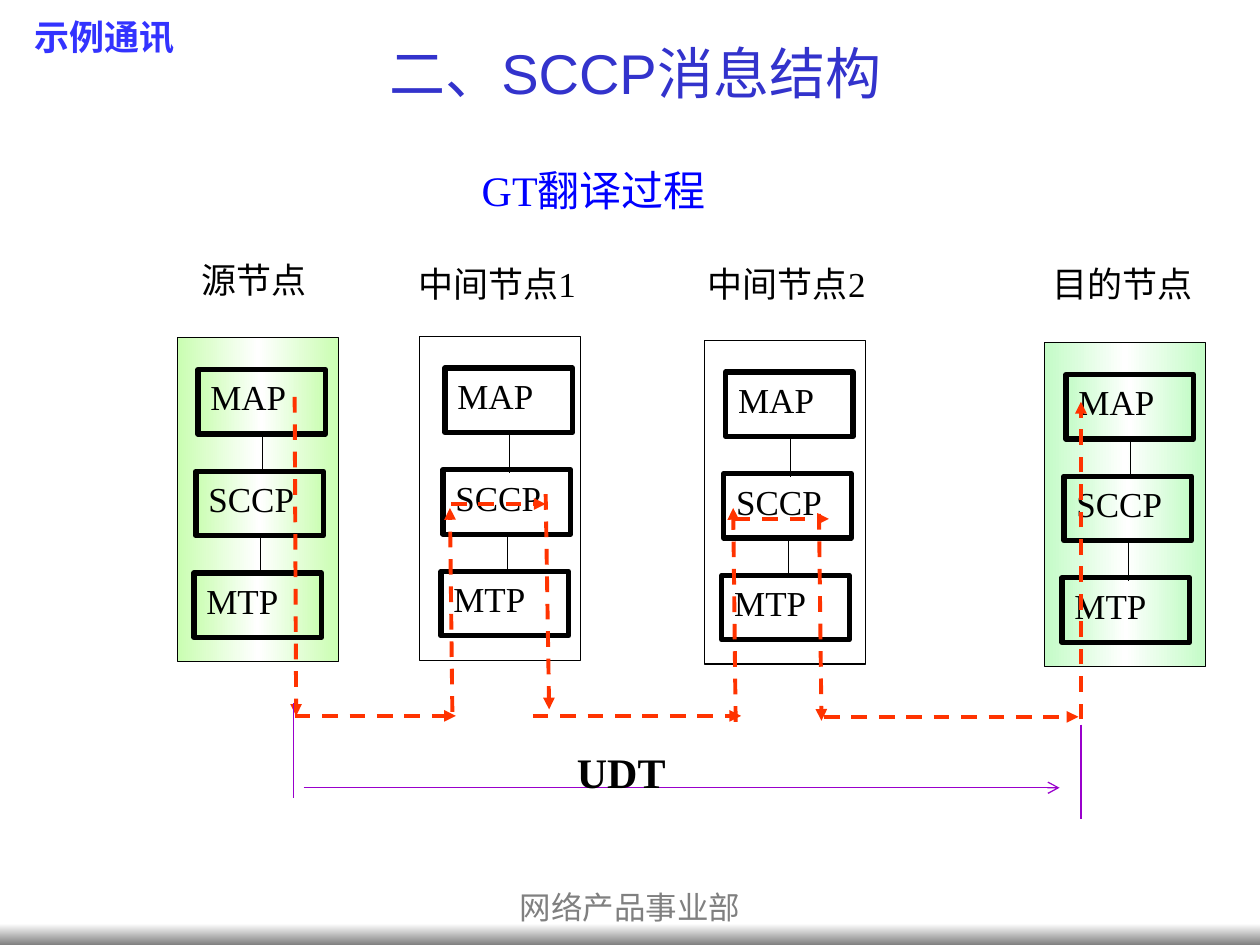
from copy import deepcopy

from lxml import etree
from pptx import Presentation
from pptx.dml.color import RGBColor
from pptx.enum.dml import MSO_LINE
from pptx.enum.shapes import MSO_CONNECTOR, MSO_SHAPE
from pptx.enum.text import MSO_ANCHOR, MSO_AUTO_SIZE, PP_ALIGN
from pptx.oxml.ns import qn
from pptx.util import Cm, Pt

RECTANGLE = MSO_SHAPE.RECTANGLE
STRAIGHT = MSO_CONNECTOR.STRAIGHT
DASH = MSO_LINE.DASH
TOP, MIDDLE = MSO_ANCHOR.TOP, MSO_ANCHOR.MIDDLE
NO_AUTOFIT = MSO_AUTO_SIZE.NONE
LEFT, CENTER, JUSTIFY = PP_ALIGN.LEFT, PP_ALIGN.CENTER, PP_ALIGN.JUSTIFY

BLACK = RGBColor(0x00, 0x00, 0x00)
WHITE = RGBColor(0xFF, 0xFF, 0xFF)
GRAY = RGBColor(0x80, 0x80, 0x80)
BLUE = RGBColor(0x00, 0x00, 0xFF)
INDIGO = RGBColor(0x33, 0x33, 0xCC)
BRIGHT_BLUE = RGBColor(0x33, 0x33, 0xFF)
RED = RGBColor(0xFF, 0x33, 0x00)
PURPLE = RGBColor(0x99, 0x00, 0xCC)
LIME = RGBColor(0xCA, 0xFE, 0xB2)
MINT = RGBColor(0xC4, 0xFC, 0xC7)


def write(shape, text, size, color, align, wrap=True, anchor=TOP, **font_format):
    frame = shape.text_frame
    frame_format = {
        "auto_size": NO_AUTOFIT, "word_wrap": wrap, "vertical_anchor": anchor,
        "margin_left": Cm(0.25), "margin_right": Cm(0.25),
        "margin_top": Cm(0.13), "margin_bottom": Cm(0.13),
    }
    for name, value in frame_format.items():
        setattr(frame, name, value)
    para = frame.paragraphs[0]
    para.alignment = align
    span = para.add_run()
    span.text = text
    span.font.color.rgb = color
    values = {"name": "Times New Roman", "size": Pt(size), "bold": False, **font_format}
    for name, value in values.items():
        setattr(span.font, name, value)
    return frame


def draw_line(points, color, width, dash=None, arrow=None):
    line = page.shapes.add_connector(STRAIGHT, *[Cm(value) for value in points])
    line.line.color.rgb = color
    line.line.width = Pt(width)
    if dash:
        line.line.dash_style = dash
    properties = line._element.spPr
    if arrow:
        etree.SubElement(properties.find(qn("a:ln")), qn("a:tailEnd"), type=arrow)
    etree.SubElement(properties, qn("a:effectLst"))


deck = Presentation()
deck.slide_width, deck.slide_height = Cm(25.4), Cm(19.05)
page = deck.slides.add_slide(deck.slide_layouts[5])

title = page.shapes.title
title.left, title.top, title.width, title.height = Cm(3.18), Cm(0.64), Cm(19.25), Cm(1.63)
write(title, "二、SCCP消息结构", 32, INDIGO, CENTER, anchor=MIDDLE, name="Arial")

bar = page.shapes.add_shape(RECTANGLE, Cm(0), Cm(18.62), Cm(25.4), Cm(0.43))
bar.shadow.inherit = False
bar.line.fill.background()
bar.fill.gradient()
bar.fill.gradient_angle = 270
for stop, color in zip(bar.fill.gradient_stops, (WHITE, GRAY)):
    stop.color.rgb = color

nodes = [
    (3.58, 6.81, 3.99, LIME),
    (8.46, 6.78, 8.97, WHITE),
    (14.2, 6.86, 14.63, WHITE),
    (21.06, 6.91, 21.49, MINT),
]
layers = ["MAP", "SCCP", "MTP"]
LAYER_STEP, LAYER_SHIFT = 2.05, 0.04

for node_left, node_top, stack_left, tint in nodes:
    stack_top = node_top + 0.64
    boxes = [("", node_left, node_top, 3.25, 6.53, 0.75)]
    for row, layer in enumerate(layers):
        left = stack_left - row * LAYER_SHIFT
        boxes.append((layer, left, stack_top + row * LAYER_STEP, 2.57, 1.3, 3))
    for layer, left, top, width, height, border in boxes:
        box = page.shapes.add_shape(RECTANGLE, Cm(left), Cm(top), Cm(width), Cm(height))
        box.shadow.inherit = False
        box.line.color.rgb = BLACK
        box.line.width = Pt(border)
        if tint == WHITE:
            box.fill.solid()
            box.fill.fore_color.rgb = WHITE
        else:
            box.fill.gradient()
            box.fill.gradient_angle = 0
            stop_list = box._element.spPr.find(qn("a:gradFill")).find(qn("a:gsLst"))
            stop_list.append(deepcopy(stop_list[0]))
            stops = zip(box.fill.gradient_stops, (0, 0.5, 1), (tint, WHITE, tint))
            for stop, position, color in stops:
                stop.position = position
                stop.color.rgb = color
        if layer:
            write(box, layer, 20, BLACK, JUSTIFY)
    for row in range(2):
        x = stack_left + 1.3 - row * LAYER_SHIFT
        y = stack_top + 1.27 + row * LAYER_STEP
        draw_line((x, y, x, y + 0.84), BLACK, 0.75)

message_route = [
    (5.94, 8, 5.97, 14.43),
    (5.94, 14.43, 9.19, 14.43),
    (9.12, 14.35, 9.07, 10.24),
    (11, 9.96, 11.07, 14.3),
    (9.09, 10.16, 11, 10.16),
    (10.74, 14.43, 14.94, 14.43),
    (16.61, 14.45, 21.74, 14.45),
    (21.79, 14.5, 21.79, 8.1),
    (14.83, 14.55, 14.78, 10.24),
    (16.51, 10.36, 16.56, 14.53),
    (14.81, 10.46, 16.71, 10.46),
]
for points in message_route:
    draw_line(points, RED, 2.25, DASH, "triangle")

draw_line((5.92, 14.17, 5.92, 16.08), PURPLE, 0.75)
draw_line((21.79, 14.61, 21.79, 16.51), PURPLE, 0.75)
draw_line((6.12, 15.88, 21.36, 15.88), PURPLE, 0.75, arrow="arrow")

udt = page.shapes.add_textbox(Cm(11.63), Cm(14.61), Cm(2.97), Cm(1.47))
udt_frame = write(udt, "UDT", 24, BLACK, JUSTIFY, bold=True)
for side in ("left", "right", "top", "bottom"):
    setattr(udt_frame, f"margin_{side}", Cm(0))
udt_frame.paragraphs[0].line_spacing = 1.44

captions = [
    ("示例通讯", 0.2, 0.18, 3.81, 1.12, 20, BRIGHT_BLUE, CENTER, True, {"bold": True}),
    ("源节点", 3.81, 5.08, 2.62, 1.12, 20, BLACK, LEFT, False, {}),
    ("中间节点1", 8.18, 5.16, 3.86, 1.12, 20, BLACK, LEFT, False, {}),
    ("中间节点2", 14.02, 5.16, 3.86, 1.12, 20, BLACK, LEFT, False, {}),
    ("目的节点", 20.96, 5.16, 3.33, 1.12, 20, BLACK, LEFT, False, {}),
    ("GT翻译过程", 6.99, 3.18, 9.96, 1.27, 24, BLUE, CENTER, True, {}),
    ("网络产品事业部", 0, 17.78, 25.4, 1.27, 18, GRAY, CENTER, True, {}),
]
for text, left, top, width, height, size, color, align, wrap, font_format in captions:
    caption = page.shapes.add_textbox(Cm(left), Cm(top), Cm(width), Cm(height))
    write(caption, text, size, color, align, wrap, **font_format)

deck.save("out.pptx")
